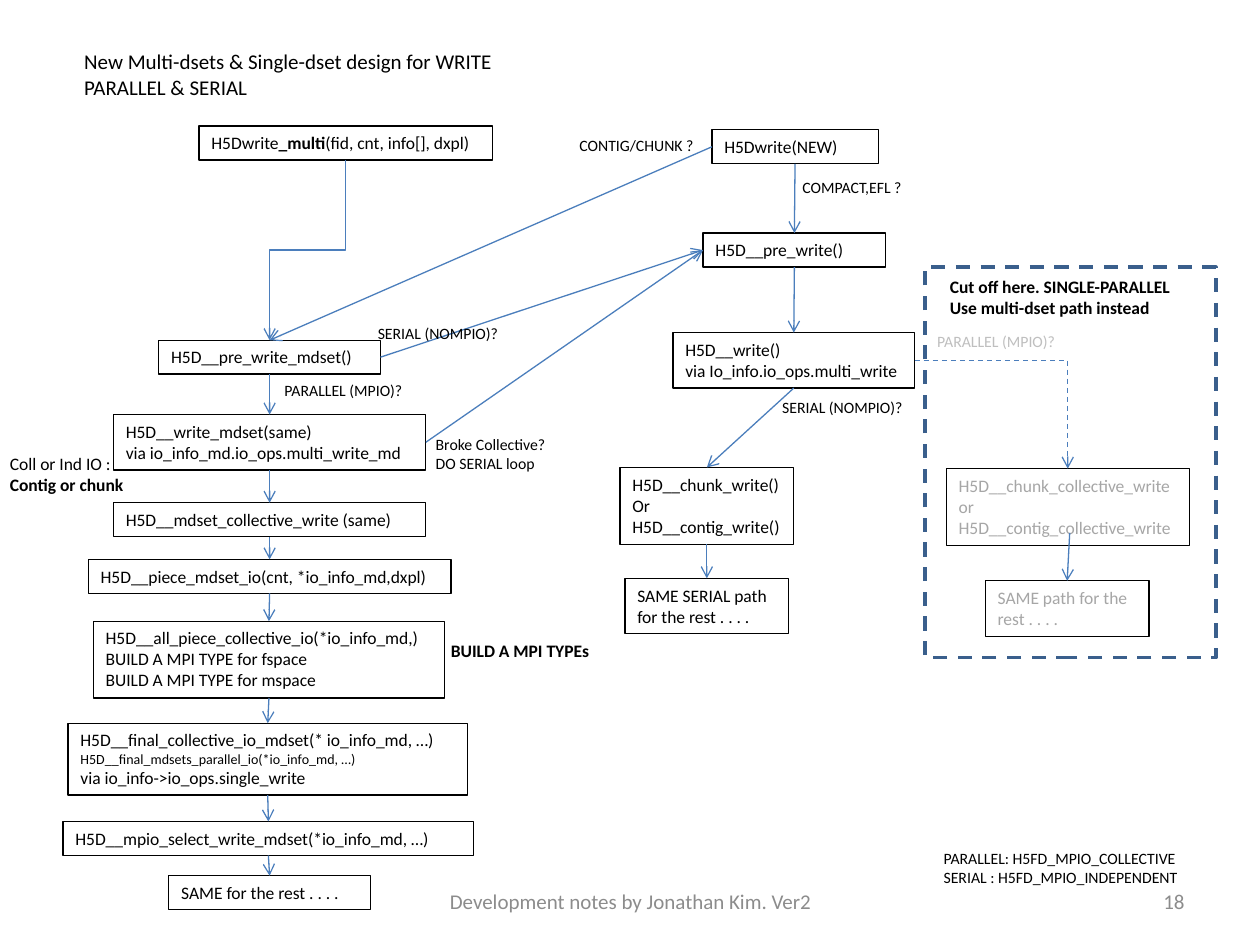
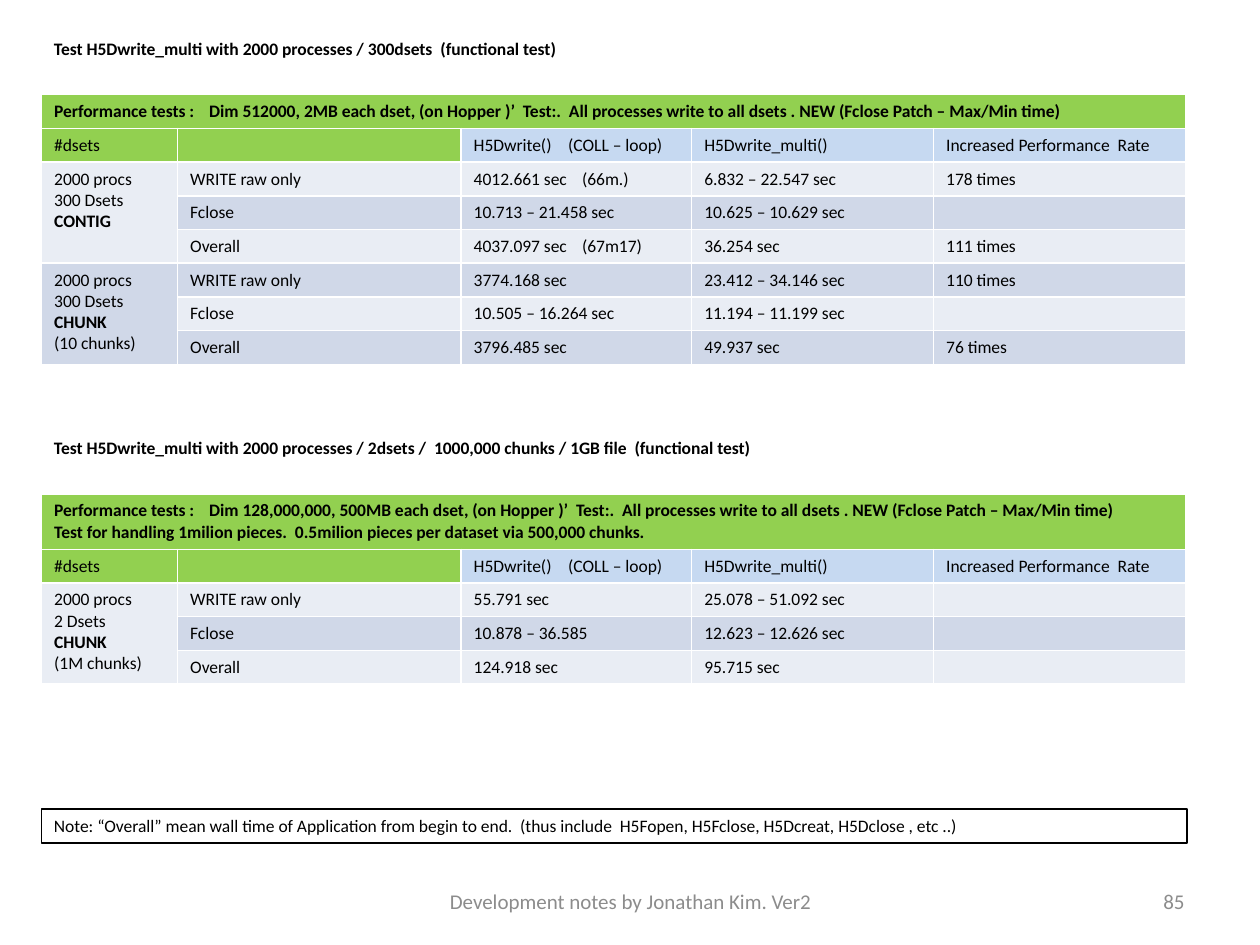
import dataclasses

import lxml.etree
import pptx
import pptx.dml.color
import pptx.enum.dml
import pptx.enum.shapes
import pptx.enum.text
import pptx.oxml.ns
import pptx.util

Inches = pptx.util.Inches
Pt = pptx.util.Pt
qn = pptx.oxml.ns.qn
ALIGN = pptx.enum.text.PP_ALIGN
ANCHOR = pptx.enum.text.MSO_ANCHOR
DASH = pptx.enum.dml.MSO_LINE.DASH


@dataclasses.dataclass(frozen=True)
class Theme:
    font: str = "Calibri"
    ink: str = "000000"
    muted: str = "A6A6A6"
    pale: str = "BFBFBF"
    foot: str = "8C8C8C"
    arrow: str = "4B7EBC"
    frame: str = "3A5F8C"
    green: str = "92D050"
    blue: str = "C6D9F1"
    bands: tuple = ("E9EDF4", "D0D8E8")
    tiny: int = 8
    small: int = 9
    body: int = 10
    head: int = 12


T = Theme()

# In all text, "|" switches bold on and off.
FOOTER = "Development notes by Jonathan Kim. Ver2"

# name: (left, top, width, height, lines, format)
BOXES = {
    "multi": (1.58, 1, 2.33, 0.27, ["H5Dwrite|_multi|(fid, cnt, info[], dxpl)"], {}),
    "pre_md": (1.26, 2.7, 1.76, 0.27, ["H5D__pre_write_mdset()"], {}),
    "write_md": (0.9, 3.29, 2.48, 0.44, [
        "H5D__write_mdset(same)", "via io_info_md.io_ops.multi_write_md"], {}),
    "coll_md": (0.9, 3.99, 2.48, 0.27, ["H5D__mdset_collective_write (same)"], {}),
    "piece": (0.7, 4.44, 2.88, 0.27, ["H5D__piece_mdset_io(cnt, *io_info_md,dxpl)"], {}),
    "all": (0.74, 4.93, 2.79, 0.61, [
        "H5D__all_piece_collective_io(*io_info_md,)",
        "BUILD A MPI TYPE for fspace", "BUILD A MPI TYPE for mspace"], {}),
    "final": (0.54, 5.74, 3.17, 0.57, [
        "H5D__final_collective_io_mdset(* io_info_md, …)",
        "H5D__final_mdsets_parallel_io(*io_info_md, …)",
        "via io_info->io_ops.single_write"], {"sizes": {1: T.tiny}}),
    "mpio": (0.5, 6.52, 3.26, 0.27, ["H5D__mpio_select_write_mdset(*io_info_md, …)"], {}),
    "rest": (1.34, 6.95, 1.6, 0.27, ["SAME for the rest . . . ."], {}),
    "new": (5.65, 1.03, 1.32, 0.27, ["H5Dwrite(NEW)"], {}),
    "pre": (5.58, 1.85, 1.45, 0.27, ["H5D__pre_write()"], {}),
    "write": (5.34, 2.64, 1.92, 0.44, ["H5D__write()", "via Io_info.io_ops.multi_write"], {}),
    "chunk": (4.92, 3.71, 1.38, 0.61, ["H5D__chunk_write()", "Or", "H5D__contig_write()"], {}),
    "serial": (4.96, 4.59, 1.3, 0.44, ["SAME SERIAL path for the rest . . . ."], {}),
    "coll": (7.51, 3.72, 1.93, 0.61, [
        "H5D__chunk_collective_write", "or H5D__contig_collective_write"], {"color": T.muted}),
    "same": (7.82, 4.61, 1.3, 0.44, ["SAME path for the rest . . . ."], {"color": T.muted}),
}

SMALL = {"size": T.small}
LABELS = [
    (0.57, 0.34, 3.73, 0.5, ["New Multi-dsets & Single-dset design for WRITE",
                             "PARALLEL & SERIAL"], {"size": T.head}),
    (-0.02, 3.55, 1.12, 0.44, ["Coll or Ind IO :", "|Contig or chunk|"], {}),
    (3.48, 5.03, 1.39, 0.27, ["|BUILD A MPI TYPEs|"], {}),
    (7.44, 2.14, 1.99, 0.44, ["|Cut off here. SINGLE-PARALLEL|",
                              "|Use multi-dset path instead|"], {}),
    (6.27, 1.36, 1.12, 0.25, ["COMPACT,EFL ?"], SMALL),
    (4.5, 1.03, 1.22, 0.25, ["CONTIG/CHUNK ?"], SMALL),
    (2.9, 2.52, 1.17, 0.25, ["SERIAL (NOMPIO)?"], SMALL),
    (6.11, 3.11, 1.17, 0.25, ["SERIAL (NOMPIO)?"], SMALL),
    (2.16, 2.97, 1.2, 0.25, ["PARALLEL (MPIO)?"], SMALL),
    (7.34, 2.58, 1.2, 0.25, ["PARALLEL (MPIO)?"], {"size": T.small, "color": T.pale}),
    (3.36, 3.4, 1.1, 0.4, ["Broke Collective?", "DO SERIAL loop"], SMALL),
    (7.39, 6.69, 2.18, 0.4, ["PARALLEL: H5FD_MPIO_COLLECTIVE",
                             "SERIAL : H5FD_MPIO_INDEPENDENT"], SMALL),
]
CUT = (7.34, 2.12, 2.31, 3.1)

# Each chain runs from the bottom of one box to the top of the next.
CHAINS = [
    ["pre_md", "write_md", "coll_md", "piece", "all", "final", "mpio", "rest"],
    ["new", "pre", "write", "chunk", "serial"],
]
CROSS = [
    ("new", "left", "pre_md", "top"),
    ("pre_md", "right", "pre", "left"),
    ("write_md", "right", "pre", "left"),
]

COLS = [1.08, 2.25, 1.83, 1.92, 2]
ROW = 0.26
TABS = {0: 1.23, 1: 0.75}
TAB = 0.86
HEADS = ["#dsets", "", "H5Dwrite()\t(COLL – loop)", "H5Dwrite_multi()",
         "Increased Performance  Rate"]
STEPS = ["WRITE raw only", "Fclose", "Overall"]
TESTS = [
    {
        "top": 0.25, "wide": 4.54,
        "title": "|Test H5Dwrite_multi with 2000 processes / 300dsets  (functional test)|",
        "note": ["|Performance tests :\tDim 512000, 2MB each dset, (on Hopper )’  Test:.  "
                 "All processes write to all dsets . NEW (Fclose Patch – Max/Min time)|"],
        "groups": [
            (["2000 procs", "300 Dsets", "|CONTIG|"], [
                ("4012.661 sec\t(66m.)", "6.832 – 22.547 sec", "178 times"),
                ("10.713 – 21.458 sec", "10.625 – 10.629 sec", ""),
                ("4037.097 sec\t(67m17)", "36.254 sec", "111 times")]),
            (["2000 procs", "300 Dsets", "|CHUNK|", "(10 chunks)"], [
                ("3774.168 sec", "23.412 – 34.146 sec", "110 times"),
                ("10.505 – 16.264 sec", "11.194 – 11.199 sec", ""),
                ("3796.485 sec", "49.937 sec", "76 times")]),
        ],
    },
    {
        "top": 3.42, "wide": 5.84,
        "title": "|Test H5Dwrite_multi with 2000 processes / 2dsets /  1000,000 chunks / "
                 "1GB file  (functional test)|",
        "note": ["|Performance tests :\tDim 128,000,000, 500MB each dset, (on Hopper )’  Test:.  "
                 "All processes write to all dsets . NEW (Fclose Patch – Max/Min time)|",
                 "|Test for handling 1milion pieces.  0.5milion pieces per dataset "
                 "via 500,000 chunks.|"],
        "groups": [
            (["2000 procs", "2 Dsets", "|CHUNK|", "(1M chunks)"], [
                ("55.791 sec", "25.078 – 51.092 sec", ""),
                ("10.878 – 36.585", "12.623 – 12.626 sec", ""),
                ("124.918 sec", "95.715 sec", "")]),
        ],
    },
]
NOTE = (0.33, 6.42, 9.09, 0.27, [
    "Note: “Overall” mean wall time of Application from begin to end.  "
    "(thus include  H5Fopen, H5Fclose, H5Dcreat, H5Dclose , etc ..)"], {})


def tint(code):
    return pptx.dml.color.RGBColor.from_string(code)


def text(frame, lines, size=T.body, color=T.ink, align=ALIGN.LEFT, sizes={}, tab=TAB):
    """Fill a frame; sizes overrides the size of single lines by index."""
    frame.word_wrap = True
    for i, line in enumerate(lines):
        para = frame.paragraphs[0] if i == 0 else frame.add_paragraph()
        para.alignment = align
        points = sizes.get(i, size)
        if "\t" in line:
            stops = lxml.etree.SubElement(para._p.get_or_add_pPr(), qn("a:tabLst"))
            lxml.etree.SubElement(stops, qn("a:tab"), pos=str(Inches(tab)), algn="l")
        for j, part in enumerate(line.split("|")):
            if part:
                run = para.add_run()
                run.text = part
                run.font.name = T.font
                run.font.size = Pt(points)
                run.font.bold = j % 2 == 1
                run.font.color.rgb = tint(color)
        if not line:
            lxml.etree.SubElement(para._p, qn("a:endParaRPr"), sz=str(points * 100))


def label(slide, x, y, w, h, lines, form, anchor=ANCHOR.TOP):
    frame = slide.shapes.add_textbox(*map(Inches, (x, y, w, h))).text_frame
    frame.vertical_anchor = anchor
    text(frame, lines, **form)


def stroke(line, color, width, dash=None):
    line.color.rgb = tint(color)
    line.width = Pt(width)
    if dash:
        line.dash_style = dash


def frame_box(slide, place, color=T.ink, width=0.75, dash=None):
    box = slide.shapes.add_shape(pptx.enum.shapes.MSO_SHAPE.RECTANGLE, *map(Inches, place))
    box.shadow.inherit = False
    box.fill.background()
    stroke(box.line, color, width, dash)
    return box


def step(slide, x, y, w, h, lines, form):
    box = frame_box(slide, (x, y, w, h))
    box.text_frame.vertical_anchor = ANCHOR.TOP
    text(box.text_frame, lines, **form)


def spot(name, side):
    """Middle of one side of a box."""
    x, y, w, h = BOXES[name][:4]
    return {"top": (x + w / 2, y), "bottom": (x + w / 2, y + h),
            "left": (x, y + h / 2), "right": (x + w, y + h / 2)}[side]


def arrow(slide, start, end, shape="line", turn=0, dash=None):
    kind = pptx.enum.shapes.MSO_CONNECTOR.STRAIGHT
    link = slide.shapes.add_connector(kind, *map(Inches, (*start, *end)))
    stroke(link.line, T.arrow, 0.75, dash)
    props = link._element.spPr
    props.find(qn("a:prstGeom")).set("prst", shape)
    if turn:
        props.find(qn("a:xfrm")).set("rot", str(turn * 60000))
    lxml.etree.SubElement(props.find(qn("a:ln")), qn("a:tailEnd"), type="arrow")
    lxml.etree.SubElement(props, qn("a:effectLst"))


def drop(slide, start, end):
    """Elbow going down, left and down: a bent line turned by a quarter."""
    mid_x, mid_y = (start[0] + end[0]) / 2, (start[1] + end[1]) / 2
    half_w, half_h = (end[1] - start[1]) / 2, (start[0] - end[0]) / 2
    arrow(slide, (mid_x - half_w, mid_y - half_h), (mid_x + half_w, mid_y + half_h),
          shape="bentConnector3", turn=90)


def footer(slide, number):
    for x, w, line, align in ((3.42, 3.17, FOOTER, ALIGN.CENTER),
                              (7.17, 2.33, number, ALIGN.RIGHT)):
        form = {"size": T.head, "color": T.foot, "align": align}
        label(slide, x, 6.95, w, 0.4, [line], form, ANCHOR.MIDDLE)


def grid(slide, test):
    """Table with a note row, a head row and groups of three steps."""
    rows = [[test["note"]] + [[""]] * 4, [[head] for head in HEADS]]
    for name, values in test["groups"]:
        for i, line in enumerate(values):
            rows.append([name if i == 0 else [""], [STEPS[i]], *([v] for v in line)])
    high = [ROW] * len(rows)
    high[0] = 0.1 + 0.17 * len(test["note"])
    table = slide.shapes.add_table(len(rows), len(COLS), *map(
        Inches, (0.33, test["top"] + 0.5, sum(COLS), sum(high)))).table
    for col, w in zip(table.columns, COLS):
        col.width = Inches(w)
    for r, row in enumerate(rows):
        table.rows[r].height = Inches(high[r])
        for c, lines in enumerate(row):
            cell = table.cell(r, c)
            if r < 2:
                shade = T.blue if r == 1 and c > 1 else T.green
            else:
                first = (r - 2) // 3 * 3 + 2
                shade = T.bands[(first if c == 0 else r) % 2]
            cell.fill.solid()
            cell.fill.fore_color.rgb = tint(shade)
            text(cell.text_frame, lines, tab=TABS.get(r, TAB))
    table.cell(0, 0).merge(table.cell(0, len(COLS) - 1))
    for r in range(2, len(rows), len(STEPS)):
        table.cell(r, 0).merge(table.cell(r + len(STEPS) - 1, 0))


def draw_flow(slide):
    for box in BOXES.values():
        step(slide, *box)
    for chain in CHAINS:
        for a, b in zip(chain, chain[1:]):
            arrow(slide, spot(a, "bottom"), spot(b, "top"))
    for a, out, b, into in CROSS:
        arrow(slide, spot(a, out), spot(b, into))
    drop(slide, spot("multi", "bottom"), spot("pre_md", "top"))
    arrow(slide, spot("write", "right"), spot("coll", "top"),
          shape="bentConnector2", dash=DASH)
    arrow(slide, (8.49, 4.23), spot("same", "top"))
    for item in LABELS:
        label(slide, *item)
    frame_box(slide, CUT, T.frame, 2, DASH)
    footer(slide, "18")


def draw_tests(slide):
    for test in TESTS:
        label(slide, 0.33, test["top"], test["wide"], 0.27, [test["title"]], {})
        grid(slide, test)
    step(slide, *NOTE)
    footer(slide, "85")


def main():
    deck = pptx.Presentation()
    deck.slide_width, deck.slide_height = Inches(10), Inches(7.5)
    for draw in (draw_flow, draw_tests):
        draw(deck.slides.add_slide(deck.slide_layouts[6]))
    deck.save("out.pptx")


if __name__ == "__main__":
    main()
